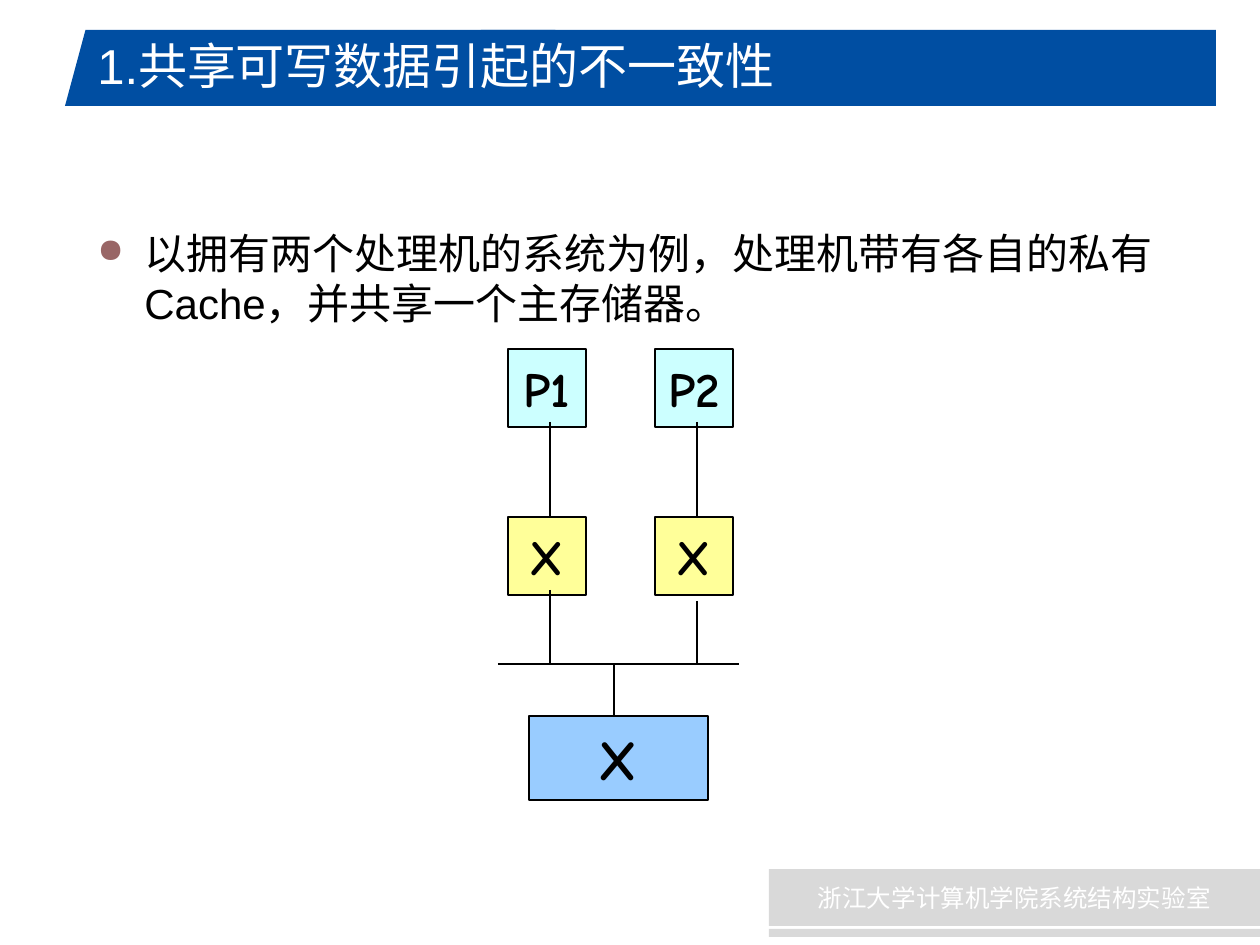
from lxml import etree
from pptx import Presentation, util as u
from pptx.dml.color import RGBColor
from pptx.enum import shapes, text
from pptx.oxml.ns import qn

PIXEL = 914400 / 126
BLUE = RGBColor(0x00, 0x4E, 0xA2)
GREY = RGBColor(0xD9, 0xD9, 0xD9)
WHITE = RGBColor(0xFF, 0xFF, 0xFF)
BLACK = RGBColor(0x00, 0x00, 0x00)
CYAN = RGBColor(0xCC, 0xFF, 0xFF)
YELLOW = RGBColor(0xFF, 0xFF, 0x99)
SKY = RGBColor(0x99, 0xCC, 0xFF)
BULLET_COLOR = "996666"
CJK = "Noto Sans CJK SC"
LABEL = "Comic Neue"
RECT = shapes.MSO_SHAPE.RECTANGLE


def px(*lengths):
    """Turn pixels into EMU."""
    return [u.Emu(round(length * PIXEL)) for length in lengths]


def write(shape, words, size, color, font="Arial", bold=False, align=None,
          anchor=text.MSO_ANCHOR.TOP, wrap=True, east_asian=None):
    """Put one formatted paragraph in a shape and return it."""
    frame = shape.text_frame
    frame.word_wrap = wrap
    frame.vertical_anchor = anchor
    para = frame.paragraphs[0]
    para.alignment = align
    span = para.add_run()
    span.text = words
    span.font.size = u.Pt(size)
    span.font.name = font
    span.font.bold = bold
    span.font.color.rgb = color
    if east_asian:
        etree.SubElement(span.font._element, qn("a:ea"), typeface=east_asian)
    return para


def add_block(page, bounds, fill, line_width=None, kind=RECT):
    """Add a filled shape, outlined in black if a line width is given."""
    block = page.shapes.add_shape(kind, *px(*bounds))
    block.shadow.inherit = False
    block.fill.solid()
    block.fill.fore_color.rgb = fill
    if line_width:
        block.line.color.rgb = BLACK
        block.line.width = u.Pt(line_width)
    else:
        block.line.fill.background()
    return block


def add_unit(page, bounds, fill, label, size=28, line_width=1.25):
    """Add a labelled processor, cache or memory."""
    unit = add_block(page, bounds, fill, line_width)
    write(unit, label, size, BLACK, font=LABEL, bold=True, wrap=False,
          align=text.PP_ALIGN.CENTER, anchor=text.MSO_ANCHOR.MIDDLE)


def add_wire(page, *ends):
    """Add a thin black line."""
    wire = page.shapes.add_connector(shapes.MSO_CONNECTOR.STRAIGHT, *px(*ends))
    wire.line.color.rgb = BLACK
    wire.line.width = u.Pt(0.75)
    etree.SubElement(wire._element.spPr, qn("a:effectLst"))


def add_bullet(para, indent):
    """Give a paragraph a hanging round bullet."""
    props = para._p.get_or_add_pPr()
    margin = px(indent)[0]
    props.set("marL", str(margin))
    props.set("indent", str(-margin))
    before = etree.SubElement(props, qn("a:spcBef"))
    etree.SubElement(before, qn("a:spcPct"), val="20000")
    color = etree.SubElement(props, qn("a:buClr"))
    etree.SubElement(color, qn("a:srgbClr"), val=BULLET_COLOR)
    etree.SubElement(props, qn("a:buSzPct"), val="80000")
    etree.SubElement(props, qn("a:buChar"), char="●")


def add_frame(page):
    """Draw the title band and the footer."""
    slant = add_block(page, (65, 30, 511, 76), BLUE,
                      kind=shapes.MSO_SHAPE.TRAPEZOID)
    slant.adjustments[0] = 0.27
    add_block(page, (481, 30, 735, 76), BLUE)
    add_block(page, (611, 100, 605, 6), BLUE)
    footer = add_block(page, (769, 869, 491, 57), GREY)
    write(footer, "浙江大学计算机学院系统结构实验室", 14, WHITE, font=CJK,
          east_asian=CJK, align=text.PP_ALIGN.CENTER,
          anchor=text.MSO_ANCHOR.MIDDLE)
    add_block(page, (769, 929, 491, 8), GREY)


def add_diagram(page):
    """Draw two processors with caches on a bus to one memory."""
    columns = ((508, "P1", 590), (655, "P2", 601))
    for left, name, cache_exit in columns:
        add_unit(page, (left, 349, 78, 78), CYAN, name)
        add_unit(page, (left, 517, 78, 78), YELLOW, "X")
        middle = left + 42
        add_wire(page, middle, 422, middle, 517)
        add_wire(page, middle, cache_exit, middle, 664)
    add_wire(page, 498, 664, 739, 664)
    add_wire(page, 614, 664, 614, 716)
    add_unit(page, (529, 716, 179, 84), SKY, "X", size=32, line_width=0.75)


def main():
    """Build and save the slide."""
    deck = Presentation()
    deck.slide_width, deck.slide_height = px(1260, 945)
    page = deck.slides.add_slide(deck.slide_layouts[6])
    add_frame(page)
    title = page.shapes.add_textbox(*px(85, 29, 1047, 126))
    write(title, "1.共享可写数据引起的不一致性", 28, WHITE)
    body = page.shapes.add_textbox(*px(85, 221, 1092, 609))
    para = write(body, "以拥有两个处理机的系统为例，处理机带有各自的私有"
                 "Cache，并共享一个主存储器。", 24, BLACK)
    add_bullet(para, 47)
    add_diagram(page)
    deck.save("out.pptx")


main()
